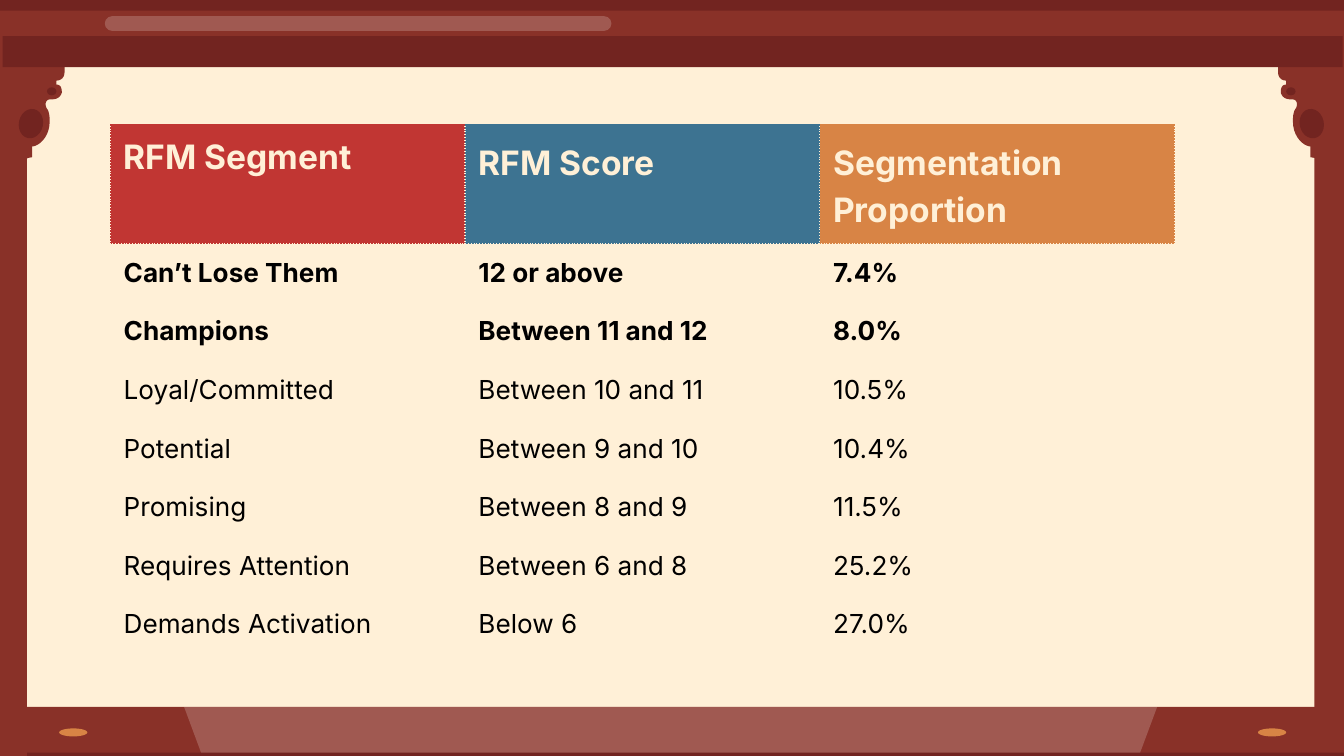
import pptx
import pptx.dml.color
import pptx.enum.shapes
import pptx.oxml
import pptx.oxml.ns
import pptx.util
from lxml import etree
from pptx.util import Inches

WIDTH, HEIGHT = 10, 10 * 9 / 16
MIRROR_SUM = 9.99  # a left x and its mirrored right x add up to this
FONT = "Inter"
COLORS = {
    "cream": "FFF0D7",
    "wood": "893128",
    "dark_wood": "722420",
    "shine": "FFFCF7",
    "red": "C13633",
    "blue": "3D7391",
    "orange": "D88445",
    "black": "000000",
}
SHAPES = pptx.enum.shapes.MSO_SHAPE

HEADERS = [("RFM Segment", "red", 1.0), ("RFM Score", "blue", 1.15),
           ("Segmentation Proportion", "orange", 1.15)]
SEGMENTS = [
    ("Can’t Lose Them", "12 or above", "7.4%"),
    ("Champions", "Between 11 and 12", "8.0%"),
    ("Loyal/Committed", "Between 10 and 11", "10.5%"),
    ("Potential", "Between 9 and 10", "10.4%"),
    ("Promising", "Between 8 and 9", "11.5%"),
    ("Requires Attention", "Between 6 and 8", "25.2%"),
    ("Demands Activation", "Below 6", "27.0%"),
]
BOLD_SEGMENTS = 2

# Left bracket: two numbers are a line's end, six are a cubic curve.
BRACKET = [
    (0.48, 0.49), (0, 0.49), (0, 1.43), (0.2, 1.43), (0.2, 1.37),
    (0.14, 1.37, 0.12, 1.17, 0.24, 1.17), (0.24, 1.09),
    (0.28, 1.09, 0.37, 1.03, 0.37, 0.9),
    (0.37, 0.85, 0.36, 0.82, 0.35, 0.81),
    (0.33, 0.78, 0.34, 0.74, 0.37, 0.74), (0.38, 0.74),
    (0.43, 0.74, 0.45, 0.72, 0.46, 0.69),
    (0.46, 0.67, 0.46, 0.63, 0.42, 0.63), (0.42, 0.6),
    (0.45, 0.6, 0.48, 0.58, 0.48, 0.54),
]


def rgb(name):
    return pptx.dml.color.RGBColor.from_string(COLORS[name])


def paint(shape, color, opacity=100):
    shape.shadow.inherit = False
    shape.line.fill.background()
    shape.fill.solid()
    shape.fill.fore_color.rgb = rgb(color)
    if opacity < 100:
        srgb = shape.fill._xPr.find(".//" + pptx.oxml.ns.qn("a:srgbClr"))
        alpha = etree.SubElement(srgb, pptx.oxml.ns.qn("a:alpha"))
        alpha.set("val", str(opacity * 1000))


def add_preset(slide, kind, box, color, opacity=100):
    shape = slide.shapes.add_shape(kind, *map(Inches, box))
    paint(shape, color, opacity)
    return shape


def add_outline(slide, points, color, opacity=100):
    start, *rest = [(Inches(x), Inches(y)) for x, y in points]
    builder = slide.shapes.build_freeform(*start)
    builder.add_line_segments(rest, close=True)
    paint(builder.convert_to_shape(), color, opacity)


def flatten(path, steps=10):
    """Turn lines and cubic curves into a list of points."""
    points = []
    for part in path:
        if len(part) == 2:
            points.append(part)
            continue
        controls = [points[-1], part[:2], part[2:4], part[4:]]
        for step in range(1, steps + 1):
            t = step / steps
            weights = ((1 - t) ** 3, 3 * t * (1 - t) ** 2, 3 * t * t * (1 - t), t ** 3)
            points.append(tuple(sum(weight * control[axis]
                                    for weight, control in zip(weights, controls))
                                for axis in (0, 1)))
    return points


def add_corner(slide, mirrored):
    """Draw a carved bracket with its two dark knobs."""
    points = flatten(BRACKET)
    if mirrored:
        points = [(MIRROR_SUM - x, y) for x, y in points]
    add_outline(slide, points, "wood")
    for left, top, width, height, tilt in ((0.14, 0.81, 0.18, 0.22, 12),
                                           (0.35, 0.65, 0.07, 0.06, 0)):
        if mirrored:
            left, tilt = MIRROR_SUM - left - width, -tilt
        knob = add_preset(slide, SHAPES.OVAL, (left, top, width, height), "dark_wood")
        knob.rotation = tilt


def add_stage(slide):
    add_preset(slide, SHAPES.RECTANGLE, (0.13, 5.26, WIDTH - 0.13, 0.35), "wood")
    add_outline(slide, [(1.37, 5.26), (1.5, 5.61), (8.48, 5.61), (8.61, 5.26)], "shine", 20)
    add_preset(slide, SHAPES.RECTANGLE, (0, 0.04, WIDTH, 0.28), "wood")
    add_preset(slide, SHAPES.RECTANGLE, (0, 0, WIDTH, 0.08), "dark_wood")
    gleam = add_preset(slide, SHAPES.ROUNDED_RECTANGLE, (0.78, 0.12, 3.77, 0.11), "shine", 20)
    gleam.adjustments[0] = 0.5
    add_preset(slide, SHAPES.RECTANGLE, (0, 5.6, WIDTH, HEIGHT - 5.6), "dark_wood")
    add_preset(slide, SHAPES.RECTANGLE, (9.78, 0.27, 0.22, 5.05), "wood")
    add_preset(slide, SHAPES.RECTANGLE, (0, 0.27, 0.2, HEIGHT - 0.27), "wood")
    for mirrored in (True, False):
        add_corner(slide, mirrored)
    add_preset(slide, SHAPES.RECTANGLE, (0.02, 0.27, 9.97, 0.23), "dark_wood")
    for left in (0.44, 9.36):
        add_preset(slide, SHAPES.OVAL, (left, 5.42, 0.21, 0.06), "orange")


def add_borders(cell):
    properties = cell._tc.get_or_add_tcPr()
    for side in ("lnL", "lnR", "lnT", "lnB"):
        properties.append(pptx.oxml.parse_xml(
            f'<a:{side} {pptx.oxml.ns.nsdecls("a")} w="{pptx.util.Pt(0.75)}">'
            f'<a:solidFill><a:srgbClr val="{COLORS["cream"]}"/></a:solidFill>'
            f'<a:prstDash val="dot"/></a:{side}>'))


def fill_cell(cell, text, fill, color, size, bold, spacing=1.0):
    add_borders(cell)
    cell.fill.solid()
    cell.fill.fore_color.rgb = rgb(fill)
    cell.margin_left = cell.margin_right = Inches(0.1)
    cell.margin_top = cell.margin_bottom = Inches(0.1)
    cell.text_frame.text = text
    paragraph = cell.text_frame.paragraphs[0]
    paragraph.line_spacing = spacing
    font = paragraph.runs[0].font
    font.name, font.size, font.bold = FONT, pptx.util.Pt(size), bold
    font.color.rgb = rgb(color)


def add_segment_table(slide):
    row_count, column_count = len(SEGMENTS) + 1, len(HEADERS)
    column_width, row_height = 2.64, 0.42
    table = slide.shapes.add_table(
        row_count, column_count, Inches(0.82), Inches(0.92),
        Inches(column_width * column_count), Inches(row_height * row_count)).table
    table.first_row = table.horz_banding = False
    for column in table.columns:
        column.width = Inches(column_width)
    for row in table.rows:
        row.height = Inches(row_height)
    for index, (text, fill, spacing) in enumerate(HEADERS):
        fill_cell(table.cell(0, index), text, fill, "cream", 18, True, spacing)
    for row_index, segment in enumerate(SEGMENTS, start=1):
        for index, text in enumerate(segment):
            fill_cell(table.cell(row_index, index), text, "cream", "black", 14,
                      row_index <= BOLD_SEGMENTS)


def main():
    presentation = pptx.Presentation()
    presentation.slide_width = Inches(WIDTH)
    presentation.slide_height = Inches(HEIGHT)
    slide = presentation.slides.add_slide(presentation.slide_layouts[6])
    slide.background.fill.solid()
    slide.background.fill.fore_color.rgb = rgb("cream")
    add_stage(slide)
    add_segment_table(slide)
    presentation.save("out.pptx")


if __name__ == "__main__":
    main()
